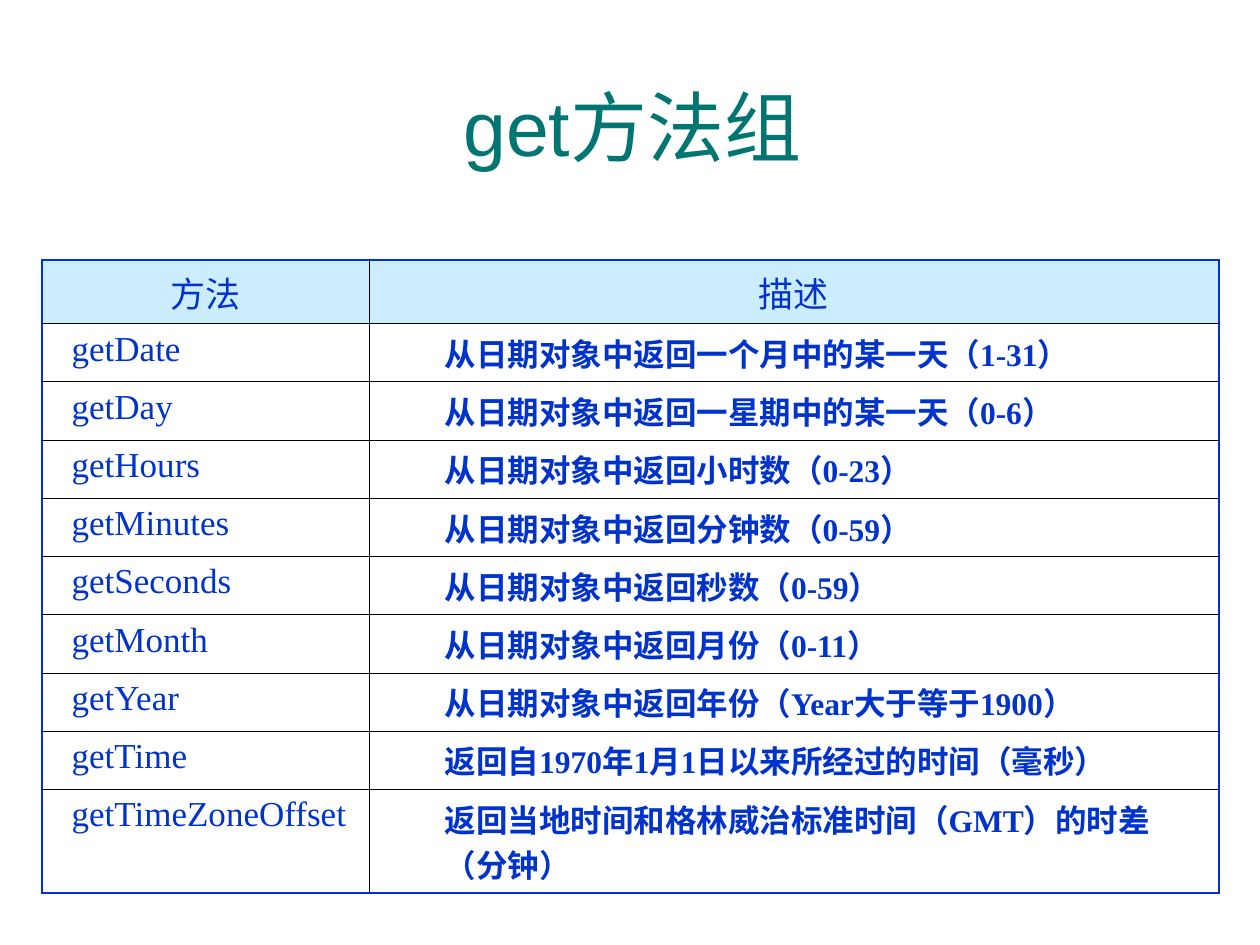
"""Build a slide with a table of the get methods of the date object."""
from lxml.etree import SubElement
from pptx import Presentation
from pptx.dml.color import RGBColor
from pptx.enum.text import MSO_ANCHOR as Anchor, MSO_AUTO_SIZE as Fit, PP_ALIGN as Align
from pptx.oxml.ns import qn
from pptx.util import Pt

PX = 914400 // 126
TEAL = RGBColor(0x00, 0x75, 0x72)
BLUE = RGBColor(0x00, 0x33, 0xCC)
SKY = RGBColor(0xCC, 0xEC, 0xFF)
BLACK = RGBColor(0, 0, 0)

TITLE = "get方法组"
HEAD = ("方法", "描述")
ROWS = [
    ("getDate", "从日期对象中返回一个月中的某一天（1-31）"),
    ("getDay", "从日期对象中返回一星期中的某一天（0-6）"),
    ("getHours", "从日期对象中返回小时数（0-23）"),
    ("getMinutes", "从日期对象中返回分钟数（0-59）"),
    ("getSeconds", "从日期对象中返回秒数（0-59）"),
    ("getMonth", "从日期对象中返回月份（0-11）"),
    ("getYear", "从日期对象中返回年份（Year大于等于1900）"),
    ("getTime", "返回自1970年1月1日以来所经过的时间（毫秒）"),
    ("getTimeZoneOffset", "返回当地时间和格林威治标准时间（GMT）的时差（分钟）"),
]
GRID = [HEAD] + ROWS
WIDTHS = (327, 850)
HEIGHTS = [63] + [58] * (len(ROWS) - 1) + [103]
TITLE_BOX = (44, 47, 1177, 157)
TABLE_BOX = (42, 260, sum(WIDTHS), sum(HEIGHTS))
INDENTS = (17, 63)


def write(frame, text, size, color=BLUE, font="Times New Roman", bold=False,
          align=Align.LEFT, indent=0):
    para = frame.paragraphs[0]
    para.alignment = align
    props = para._p.get_or_add_pPr()
    props.set("marL", str(indent * PX))
    props.set("indent", "0")
    run = para.add_run()
    run.text = text
    run.font.size = Pt(size)
    run.font.name = font
    run.font.bold = bold
    run.font.color.rgb = color


def edge(cell, side, outer):
    width, color = (1.08, BLUE) if outer else (0.45, BLACK)
    line = SubElement(cell._tc.get_or_add_tcPr(), qn(f"a:ln{side}"), w=str(Pt(width)))
    fill = SubElement(line, qn("a:solidFill"))
    SubElement(fill, qn("a:srgbClr"), val=str(color))


def fill_cell(cell, row, col):
    sides = {"L": col == 0, "R": col == len(HEAD) - 1,
             "T": row == 0, "B": row == len(GRID) - 1}
    for side, outer in sides.items():
        edge(cell, side, outer)
    text = GRID[row][col]
    if row == 0:
        cell.fill.solid()
        cell.fill.fore_color.rgb = SKY
        cell.vertical_anchor = Anchor.MIDDLE
        write(cell.text_frame, text, 20, align=Align.CENTER)
    else:
        cell.fill.background()
        write(cell.text_frame, text, 18 if col else 20, bold=col == 1,
              indent=INDENTS[col])


def main():
    deck = Presentation()
    deck.slide_width, deck.slide_height = 1260 * PX, 945 * PX
    slide = deck.slides.add_slide(deck.slide_layouts[5])

    title = slide.shapes.title
    title.left, title.top, title.width, title.height = (n * PX for n in TITLE_BOX)
    title.text_frame.auto_size = Fit.NONE
    title.text_frame.vertical_anchor = Anchor.MIDDLE
    write(title.text_frame, TITLE, 44, color=TEAL, font="Arial", align=Align.CENTER)

    box = (n * PX for n in TABLE_BOX)
    table = slide.shapes.add_table(len(GRID), len(HEAD), *box).table
    table.first_row = table.horz_banding = False
    for col, width in enumerate(WIDTHS):
        table.columns[col].width = width * PX
    for row, height in enumerate(HEIGHTS):
        table.rows[row].height = height * PX
        for col in range(len(HEAD)):
            fill_cell(table.cell(row, col), row, col)
    deck.save("out.pptx")


if __name__ == "__main__":
    main()
